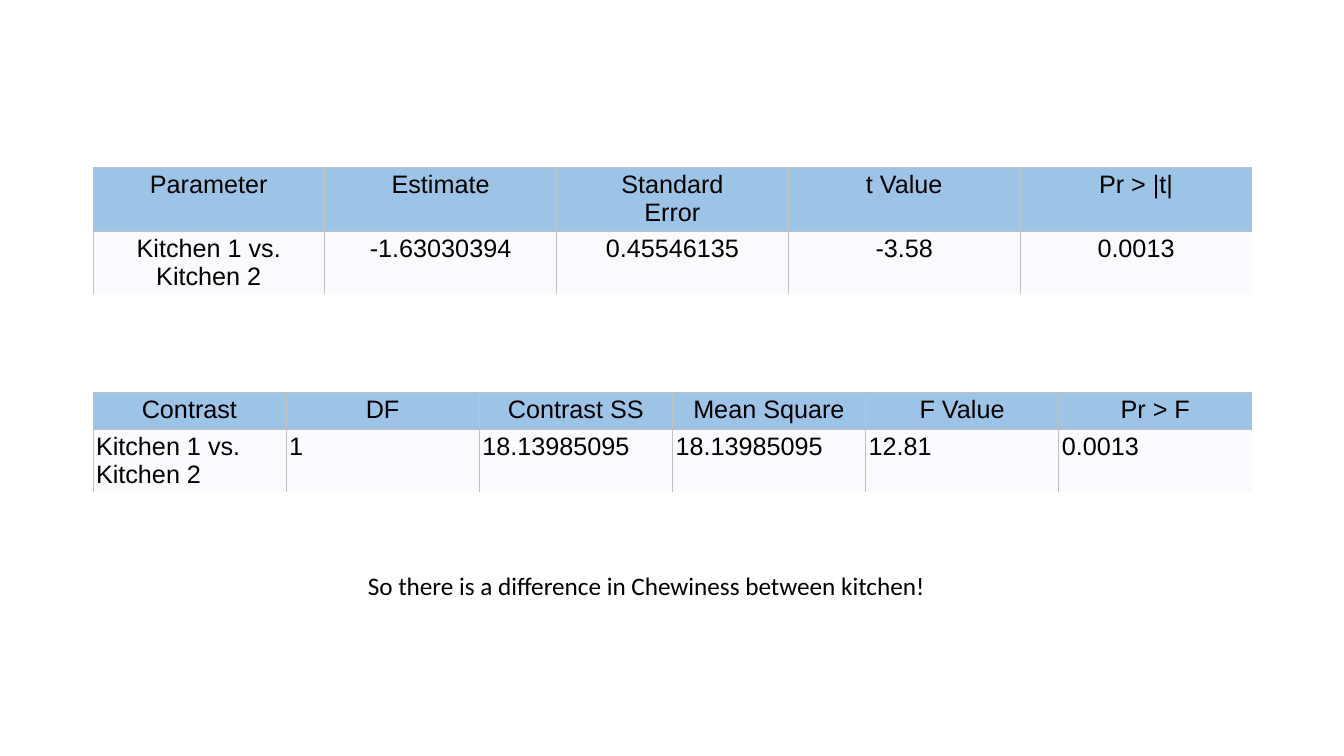
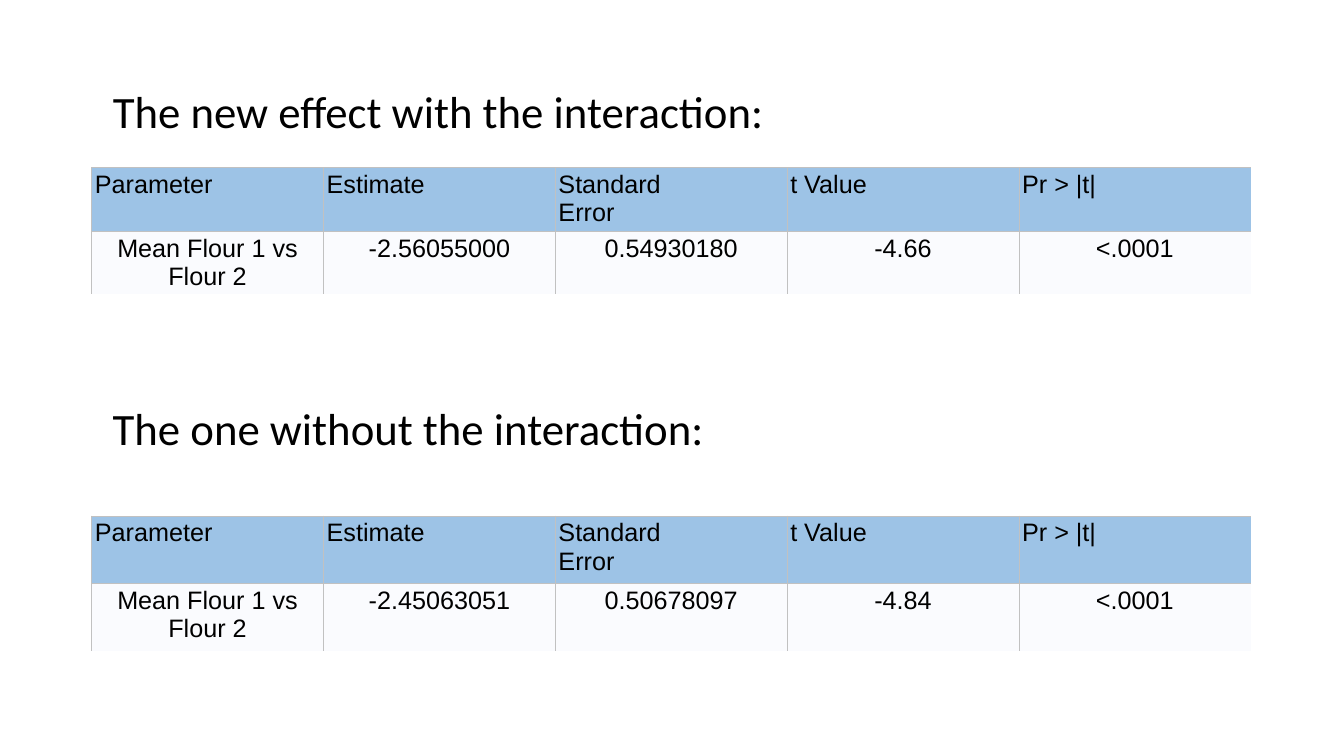
from lxml import etree
from pptx import Presentation
from pptx.dml.color import RGBColor
from pptx.enum.text import MSO_ANCHOR, MSO_AUTO_SIZE, PP_ALIGN as Align
from pptx.oxml.ns import qn
from pptx.util import Cm, Pt

COLORS = {"header": "9DC3E6", "body": "FAFBFE", "border": "C1C1C1", "text": "000000"}
TABLE_WIDTH = Cm(29.21)
CELL_MARGIN = Cm(0.08)
ESTIMATE_HEADER = ["Parameter", "Estimate", "Standard\nError", "t Value", "Pr > |t|"]


def write_text(text_frame, text, font_name, size, alignment=Align.LEFT):
    paragraph = text_frame.paragraphs[0]
    paragraph.text = text
    paragraph.alignment = alignment
    for run in paragraph.runs:
        run.font.name = font_name
        run.font.size = Pt(size)
        run.font.color.rgb = RGBColor.from_string(COLORS["text"])


def add_result_table(slide, left, top, rows, heights, alignments):
    column_count = len(rows[0])
    shape = slide.shapes.add_table(len(rows), column_count, left, top, TABLE_WIDTH, sum(heights))
    table = shape.table
    table.first_row = False
    table.horz_banding = False
    for column in table.columns:
        column.width = TABLE_WIDTH // column_count
    for row_index, values in enumerate(rows):
        table.rows[row_index].height = heights[row_index]
        is_header = row_index == 0
        for column_index, value in enumerate(values):
            cell = table.cell(row_index, column_index)
            write_text(cell.text_frame, value, "Arial", 18, alignments[row_index])
            cell.margin_left = cell.margin_right = CELL_MARGIN
            cell.margin_top = cell.margin_bottom = CELL_MARGIN
            cell.fill.solid()
            cell.fill.fore_color.rgb = RGBColor.from_string(COLORS["header" if is_header else "body"])

            # Borders: open on the right and at the bottom of the table
            drawn = {"lnL": True, "lnR": column_index < column_count - 1, "lnT": True, "lnB": is_header}
            properties = cell._tc.get_or_add_tcPr()
            for position, (edge, visible) in enumerate(drawn.items()):
                line = etree.Element(qn(f"a:{edge}"), w=str(Pt(0.5)))
                if visible:
                    fill = etree.SubElement(line, qn("a:solidFill"))
                    etree.SubElement(fill, qn("a:srgbClr"), val=COLORS["border"])
                else:
                    etree.SubElement(line, qn("a:noFill"))
                properties.insert(position, line)


presentation = Presentation()
presentation.slide_width = Cm(33.87)
presentation.slide_height = Cm(19.05)
title_only, blank = presentation.slide_layouts[5], presentation.slide_layouts[6]

# Slide 1: kitchen comparison
slide = presentation.slides.add_slide(blank)
add_result_table(
    slide, Cm(2.34), Cm(9.88),
    [["Contrast", "DF", "Contrast SS", "Mean Square", "F Value", "Pr > F"],
     ["Kitchen 1 vs. Kitchen 2", "1", "18.13985095", "18.13985095", "12.81", "0.0013"]],
    [Cm(0.93), Cm(1.6)], [Align.CENTER, Align.LEFT])
add_result_table(
    slide, Cm(2.34), Cm(4.22),
    [ESTIMATE_HEADER, ["Kitchen 1 vs. Kitchen 2", "-1.63030394", "0.45546135", "-3.58", "0.0013"]],
    [Cm(1.6), Cm(1.6)], [Align.CENTER, Align.CENTER])
conclusion = slide.shapes.add_textbox(Cm(9.02), Cm(14.25), Cm(16), Cm(1.02))
conclusion.text_frame.word_wrap = True
write_text(conclusion.text_frame, "So there is a difference in Chewiness between kitchen!", "Calibri", 18)

# Slide 2: flour effect with and without the interaction
slide = presentation.slides.add_slide(title_only)
title = slide.shapes.title
title.left, title.top, title.width, title.height = Cm(2.59), Cm(1.98), Cm(20), Cm(1.63)
subheading = slide.shapes.add_textbox(Cm(2.59), Cm(9.98), Cm(20), Cm(1.63))
for shape, text in [(title, "The new effect with the interaction:"),
                    (subheading, "The one without the interaction:")]:
    text_frame = shape.text_frame
    text_frame.word_wrap = True
    text_frame.auto_size = MSO_AUTO_SIZE.NONE
    text_frame.vertical_anchor = MSO_ANCHOR.TOP
    write_text(text_frame, text, "Calibri", 32)

for top, row_height, values in [
    (Cm(4.22), Cm(1.6), ["-2.56055000", "0.54930180", "-4.66", "<.0001"]),
    (Cm(13), Cm(1.7), ["-2.45063051", "0.50678097", "-4.84", "<.0001"]),
]:
    add_result_table(
        slide, Cm(2.31), top, [ESTIMATE_HEADER, ["Mean Flour 1 vs Flour 2", *values]],
        [row_height, row_height], [Align.LEFT, Align.CENTER])

presentation.save("out.pptx")
